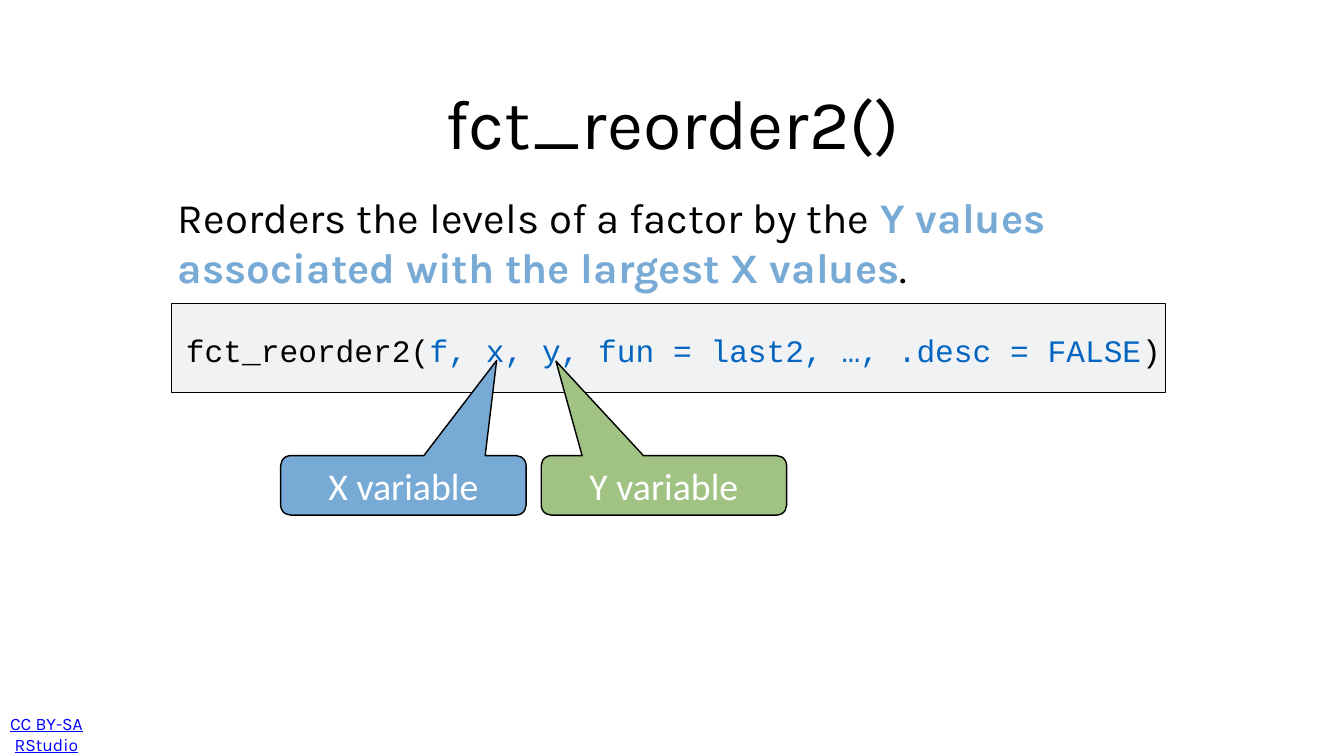
from pptx import Presentation
from pptx.dml.color import RGBColor
from pptx.enum.shapes import MSO_SHAPE
from pptx.enum.text import MSO_ANCHOR, MSO_AUTO_SIZE, PP_ALIGN
from pptx.util import Inches, Pt

BLACK = RGBColor(0x00, 0x00, 0x00)
WHITE = RGBColor(0xFF, 0xFF, 0xFF)
LINK = RGBColor(0x00, 0x00, 0xFF)
CODE_BLUE = RGBColor(0x03, 0x65, 0xC0)
CODE_PANEL = RGBColor(0xF0, 0xF2, 0xF4)
X_BLUE = RGBColor(0x78, 0xAA, 0xD6)
Y_GREEN = RGBColor(0xA0, 0xC2, 0x83)

PAGE_WIDTH, PAGE_HEIGHT = 26.67, 15
CALLOUT_LEFT, CALLOUT_PITCH = 5.57, 5.17


def place(left, top, width, height):
    return [Inches(length) for length in (left, top, width, height)]


def write(shape, spans, font, size, align=PP_ALIGN.LEFT,
          anchor=MSO_ANCHOR.MIDDLE, insets=(0.06, 0.06, 0.06, 0.06)):
    """Fill one paragraph with (text, colour, bold) spans."""
    frame = shape.text_frame
    frame.word_wrap = True
    frame.auto_size = MSO_AUTO_SIZE.NONE
    frame.vertical_anchor = anchor
    (frame.margin_left, frame.margin_top,
     frame.margin_right, frame.margin_bottom) = place(*insets)
    para = frame.paragraphs[0]
    para.alignment = align
    for text, color, bold in spans:
        span = para.add_run()
        span.text = text
        span.font.name = font
        span.font.size = Pt(size)
        span.font.bold = bold
        span.font.color.rgb = color
    return para


def add_title(page, text):
    title = page.shapes.title
    title.left, title.top, title.width, title.height = place(4.4, 1.1, 17.9, 2.62)
    write(title, [(text, BLACK, False)], "Karla", 100, PP_ALIGN.CENTER)


def add_text(page, area, spans, font, size, **layout):
    box = page.shapes.add_textbox(*place(*area))
    return write(box, spans, font, size, **layout)


def add_outlined(page, kind, area, fill, line_width):
    shape = page.shapes.add_shape(kind, *place(*area))
    shape.shadow.inherit = False
    shape.fill.solid()
    shape.fill.fore_color.rgb = fill
    shape.line.color.rgb = BLACK
    shape.line.width = Pt(line_width)
    return shape


def add_callout(page, column, label, fill, tip):
    """Place a callout whose tip is given as shares of its size from its centre."""
    area = (CALLOUT_LEFT + column * CALLOUT_PITCH, 9.04, 4.87, 1.18)
    callout = add_outlined(page, MSO_SHAPE.ROUNDED_RECTANGULAR_CALLOUT, area, fill, 2)
    for index, share in enumerate((*tip, 0.167)):
        callout.adjustments[index] = share
    write(callout, [(label, WHITE, False)], "Calibri", 54, PP_ALIGN.CENTER,
          insets=(0.08, 0.08, 0.08, 0.08))


def main():
    deck = Presentation()
    deck.slide_width, deck.slide_height = Inches(PAGE_WIDTH), Inches(PAGE_HEIGHT)
    page = deck.slides.add_slide(deck.slide_layouts[5])

    add_title(page, "fct_reorder2()")
    licence = add_text(page, (0.12, 14.26, 2.66, 0.6),
                       [("CC BY-SA RStudio", LINK, False)], "Karla", 25,
                       align=PP_ALIGN.CENTER, insets=(0.04, 0.08, 1.1, 0.08))
    licence.runs[0].font.underline = True

    add_text(page, (3.47, 3.54, 19.74, 2.5), [
        ("Reorders the levels of a factor by the", BLACK, False),
        (" Y values associated with the largest X values", X_BLUE, True),
        (".", BLACK, False),
    ], "Karla", 60)

    add_outlined(page, MSO_SHAPE.RECTANGLE, (3.41, 6.02, 19.72, 1.77), CODE_PANEL, 1)
    add_text(page, (3.63, 6.39, 19.51, 1.56), [
        ("fct_reorder2(", BLACK, False),
        ("f, x, y, fun = last2, …, .desc = FALSE", CODE_BLUE, False),
        (")", BLACK, False),
    ], "Courier New", 44.6, anchor=MSO_ANCHOR.TOP, insets=(0.06, 0.18, 0.06, 0.06))

    callouts = [("X variable", X_BLUE, (0.38, -2.1)),
                ("Y variable", Y_GREEN, (-0.44, -2.09))]
    for column, (label, fill, tip) in enumerate(callouts):
        add_callout(page, column, label, fill, tip)

    deck.save("out.pptx")


if __name__ == "__main__":
    main()
